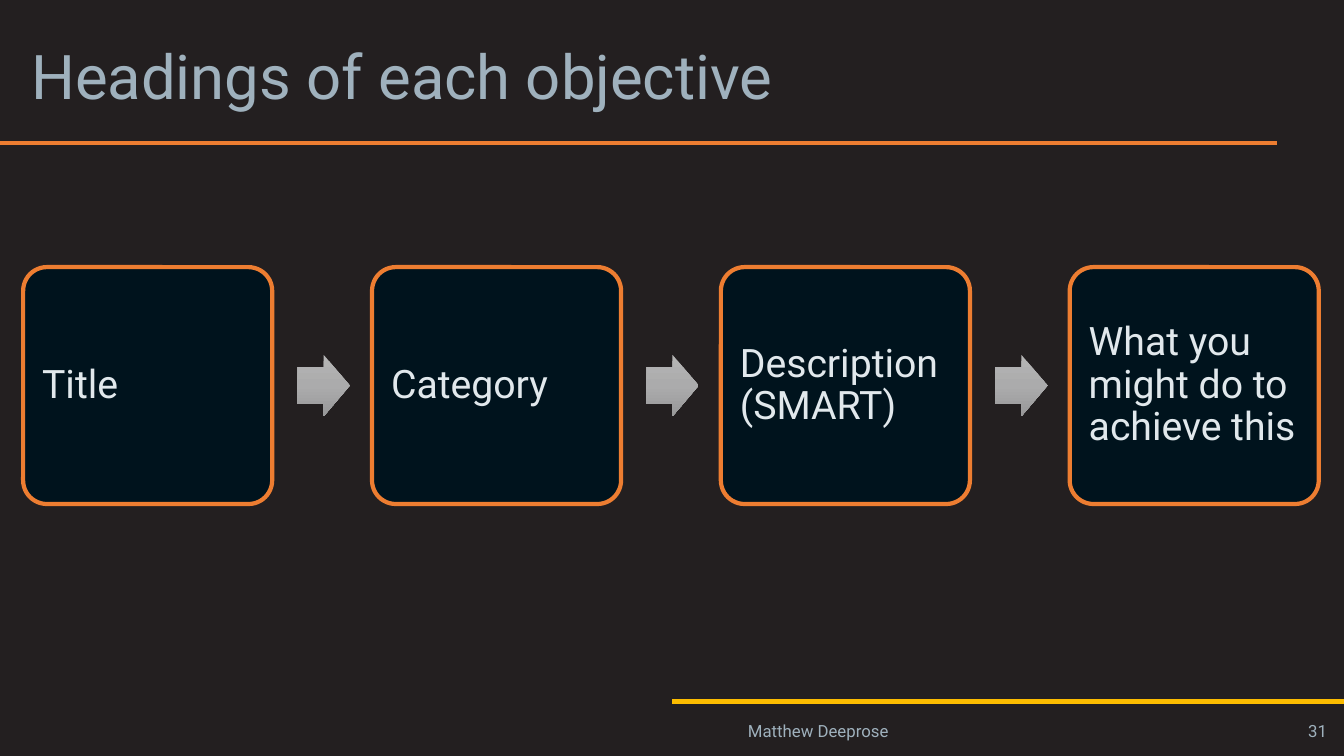
from copy import deepcopy

from pptx import Presentation
from pptx import util as u
from pptx.dml.color import RGBColor
from pptx.enum import shapes, text
from pptx.oxml.ns import qn

PX = u.Inches(1) // 100
FONT = "Roboto"
BACKGROUND = RGBColor(0x23, 0x1F, 0x20)
ORANGE = RGBColor(0xED, 0x7D, 0x31)
YELLOW = RGBColor(0xFC, 0xBC, 0x00)
MUTED = RGBColor(0x9F, 0xB1, 0xBD)
CARD_FILL = RGBColor(0x00, 0x13, 0x1D)
CARD_TEXT = RGBColor(0xE1, 0xE8, 0xEC)
ARROW_GREYS = [
    RGBColor(0xB5, 0xB5, 0xB5),
    RGBColor(0xAB, 0xAB, 0xAC),
    RGBColor(0x98, 0x98, 0x99),
]


def px(*lengths):
    return [length * PX for length in lengths]


def write(box, words, size, color, align=text.PP_ALIGN.LEFT, spacing=None):
    frame = box.text_frame
    frame.word_wrap = True
    frame.vertical_anchor = text.MSO_ANCHOR.MIDDLE
    frame.text = words
    para = frame.paragraphs[0]
    para.alignment = align
    para.line_spacing = spacing
    para.font.name = FONT
    para.font.size = u.Pt(size)
    para.font.color.rgb = color


deck = Presentation()
deck.slide_width, deck.slide_height = px(1333, 750)
page = deck.slides.add_slide(deck.slide_layouts[5])
page.background.fill.solid()
page.background.fill.fore_color.rgb = BACKGROUND

# Rules under the title and above the footer
for left, right, y, color in [(0, 1267, 142, ORANGE), (667, 1333, 696, YELLOW)]:
    rule = page.shapes.add_connector(
        shapes.MSO_CONNECTOR.STRAIGHT, *px(left, y, right, y))
    rule.line.color.rgb = color
    rule.line.width = u.Pt(3)
    rule._element.spPr.append(rule._element.makeelement(qn("a:effectLst")))

# Title
title = page.shapes.title
title.left, title.top, title.width, title.height = px(21, 16, 1287, 126)
write(title, "Headings of each objective", 44, MUTED, spacing=0.9)

# Footer
for words, left, width, align in [
    ("Matthew Deeprose", 732, 470, text.PP_ALIGN.LEFT),
    ("31", 1227, 99, text.PP_ALIGN.RIGHT),
]:
    footer = page.shapes.add_textbox(*px(left, 704, width, 41))
    write(footer, words, 12, MUTED, align)

# Cards with an arrow between neighbours
headings = ["Title", "Category", "Description (SMART)",
            "What you might do to achieve this"]
CARD_LEFT, CARD_PITCH, ARROW_OFFSET = 23, 346, 272

for index, heading in enumerate(headings):
    left = CARD_LEFT + index * CARD_PITCH
    card = page.shapes.add_shape(
        shapes.MSO_SHAPE.ROUNDED_RECTANGLE, *px(left, 265, 247, 235))
    card.adjustments[0] = 0.1
    card.shadow.inherit = False
    card.fill.solid()
    card.fill.fore_color.rgb = CARD_FILL
    card.line.color.rgb = ORANGE
    card.line.width = u.Pt(3)
    frame = card.text_frame
    frame.margin_left = frame.margin_right = 12 * PX
    frame.margin_top = frame.margin_bottom = 12 * PX
    write(card, heading, 28, CARD_TEXT, spacing=0.9)

    if index == len(headings) - 1:
        break
    arrow = page.shapes.add_shape(
        shapes.MSO_SHAPE.RIGHT_ARROW, *px(left + ARROW_OFFSET, 352, 52, 61))
    arrow.adjustments[0] = 0.6
    arrow.adjustments[1] = 0.5
    arrow.shadow.inherit = False
    arrow.line.fill.background()
    arrow.fill.gradient()
    arrow.fill.gradient_angle = 270
    # A middle stop joins the two default ones
    first_stop = arrow._element.spPr.find(".//" + qn("a:gs"))
    middle_stop = deepcopy(first_stop)
    middle_stop.set("pos", "50000")
    first_stop.addnext(middle_stop)
    for stop, grey in zip(arrow.fill.gradient_stops, ARROW_GREYS):
        stop.color.rgb = grey

deck.save("out.pptx")
